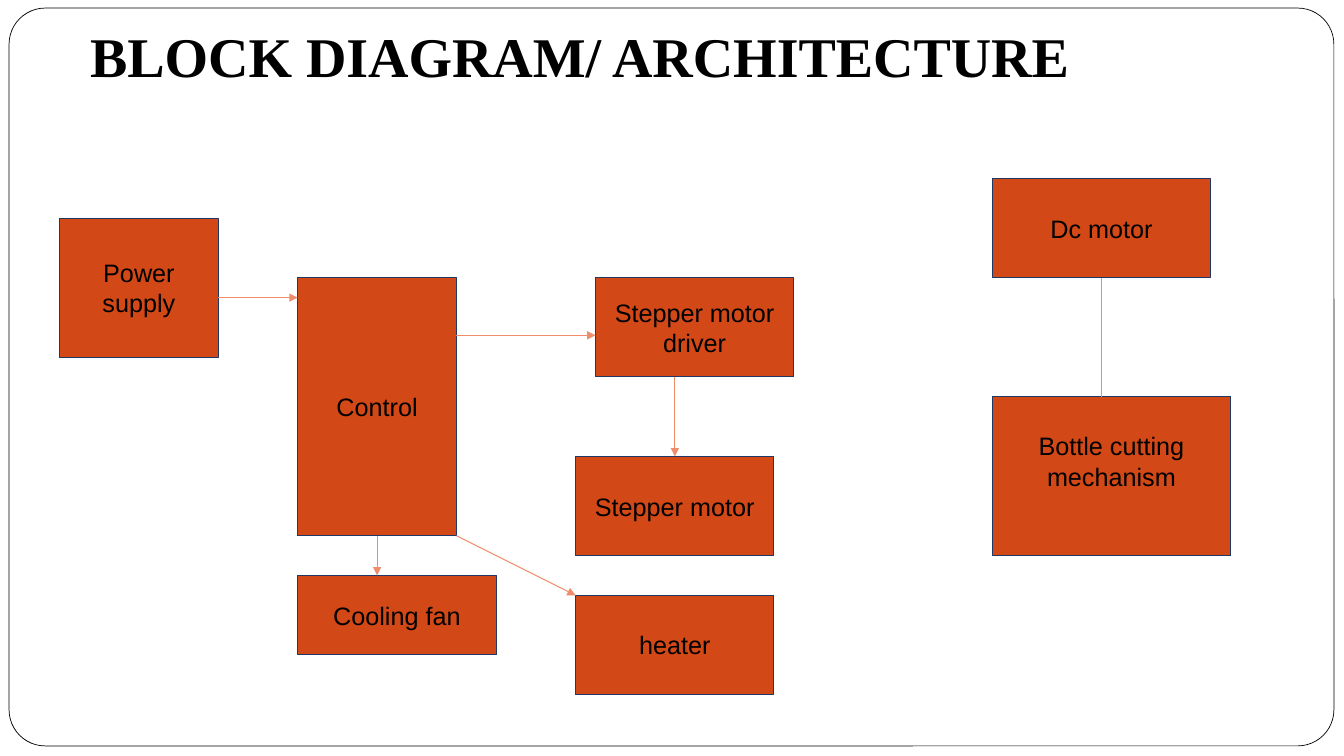
from lxml.etree import SubElement
from pptx import Presentation
from pptx.dml.color import RGBColor
from pptx.enum.shapes import MSO_CONNECTOR, MSO_SHAPE
from pptx.enum.text import MSO_ANCHOR, PP_ALIGN
from pptx.oxml.ns import qn
from pptx.util import Cm, Inches, Pt

# Content: blocks as (left, top, columns, rows) on a half-centimetre grid
TITLE = "BLOCK DIAGRAM/ ARCHITECTURE"
BLOCKS = {
    "control": (["Control"], (15, 14, 8, 13)),
    "driver": (["Stepper motor", "driver"], (30, 14, 10, 5)),
    "stepper": (["Stepper motor"], (29, 23, 10, 5)),
    "heater": (["heater"], (29, 30, 10, 5)),
    "power": (["Power supply"], (3, 11, 8, 7)),
    "cutter": (["Bottle cutting mechanism"], (50, 20, 12, 8)),
    "fan": (["Cooling fan"], (15, 29, 10, 4)),
    "dc": (["Dc motor"], (50, 9, 11, 5)),
}
# Links: start, end, (block, side) joined at the start and at the end, arrow
LINKS = [
    ((23, 16.9), (30, 16.9), None, None, True),
    ((34, 19), (34, 23), None, ("stepper", 0), True),
    ((23, 27), (29, 30), None, None, True),
    ((19, 27), (19, 29), ("control", 2), None, True),
    ((11, 15), (15, 15), None, None, True),
    ((55.5, 14), (55.5, 20), ("dc", 2), None, False),
]
COLORS = {"page": "FFFFFF", "ink": "000000", "block": "D34817",
          "edge": "203864", "link": "EF8C6A"}


def color(name):
    return RGBColor.from_string(COLORS[name])


def grid(units):
    return Cm(units * 0.5)


def style(shape, fill, line, width):
    shape.shadow.inherit = False
    shape.fill.solid()
    shape.fill.fore_color.rgb = color(fill)
    shape.line.color.rgb = color(line)
    shape.line.width = Pt(width)


def write(frame, lines, font_name, size, bold=False):
    frame.word_wrap = True
    frame.vertical_anchor = MSO_ANCHOR.MIDDLE
    frame.text = "\n".join(lines)
    for paragraph in frame.paragraphs:
        paragraph.alignment = PP_ALIGN.CENTER
        font = paragraph.font
        font.name, font.size, font.bold = font_name, Pt(size), bold
        font.color.rgb = color("ink")


prs = Presentation()
prs.slide_width, prs.slide_height = Inches(13.33), Inches(7.5)
slide = prs.slides.add_slide(prs.slide_layouts[5])
shapes = slide.shapes

# Rounded page frame, behind the title
page = shapes.add_shape(MSO_SHAPE.ROUNDED_RECTANGLE, Inches(0.09),
                        Inches(0.08), Inches(13.14), Inches(7.32))
page.adjustments[0] = 0.049
style(page, "page", "ink", 0.5)

# Title
title = shapes.title
title.left, title.top = Inches(0), Inches(0.17)
title.width, title.height = Inches(11.5), Inches(0.83)
write(title.text_frame, [TITLE], "Times New Roman", 40, True)
title.text_frame.paragraphs[0].line_spacing = 0.9
page.element.addnext(title.element)

# Blocks
boxes = {}
for name, (lines, place) in BLOCKS.items():
    box = shapes.add_shape(MSO_SHAPE.RECTANGLE, *map(grid, place))
    style(box, "block", "edge", 0.75)
    write(box.text_frame, lines, "Arial", 18)
    boxes[name] = box
boxes["cutter"].text_frame.margin_bottom = Inches(0.35)

# Links
for start, end, start_joint, end_joint, arrow in LINKS:
    link = shapes.add_connector(MSO_CONNECTOR.STRAIGHT,
                                *map(grid, start + end))
    if start_joint:
        link.begin_connect(boxes[start_joint[0]], start_joint[1])
    if end_joint:
        link.end_connect(boxes[end_joint[0]], end_joint[1])
    link.line.color.rgb = color("link")
    link.line.width = Pt(0.75)
    if arrow:
        SubElement(link.element.spPr.find(qn("a:ln")), qn("a:tailEnd"),
                   type="triangle")
    SubElement(link.element.spPr, qn("a:effectLst"))

prs.save("out.pptx")
